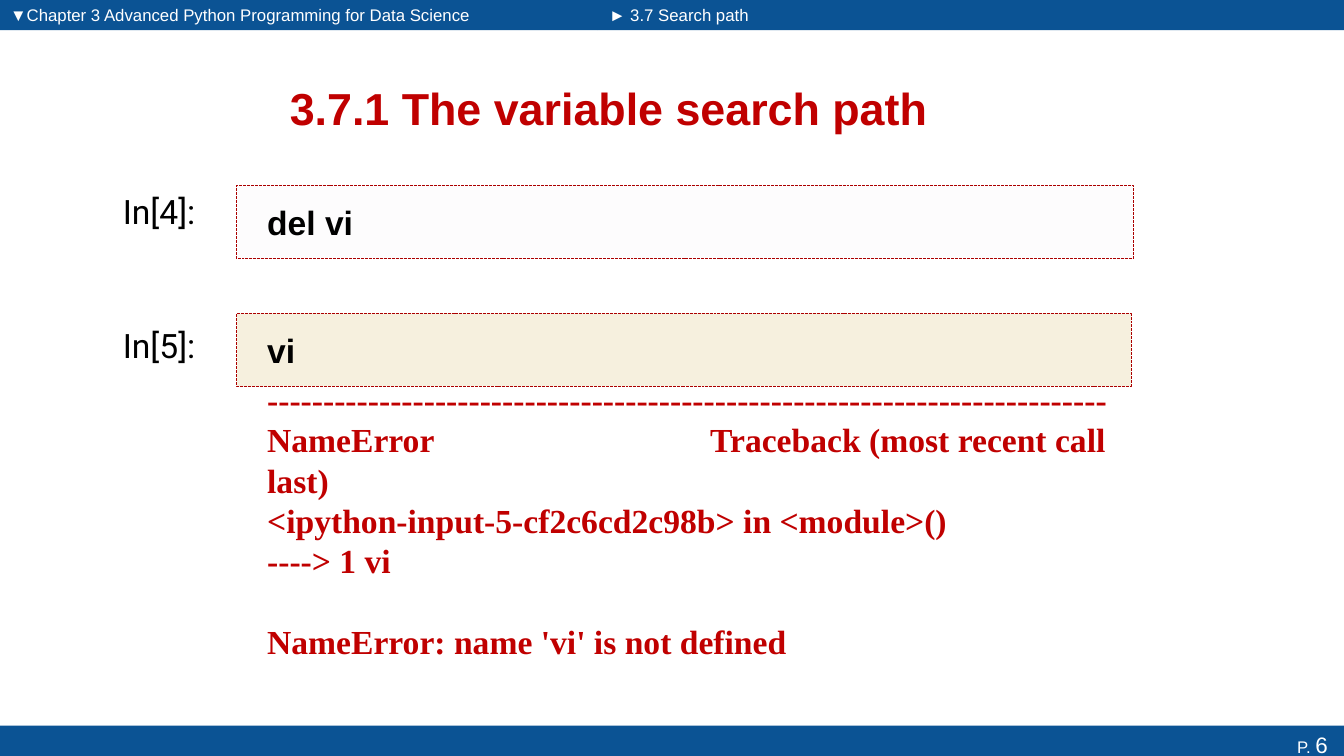
"""Build the slide on the variable search path."""
from lxml import etree
from pptx import Presentation
from pptx.dml.color import RGBColor
from pptx.enum.dml import MSO_LINE
from pptx.enum.shapes import MSO_SHAPE
from pptx.enum.text import MSO_ANCHOR, MSO_AUTO_SIZE, PP_ALIGN
from pptx.oxml.ns import qn
from pptx.util import Inches, Pt

RECTANGLE = MSO_SHAPE.RECTANGLE
DASH = MSO_LINE.SQUARE_DOT
TOP, MIDDLE = MSO_ANCHOR.TOP, MSO_ANCHOR.MIDDLE
LEFT, CENTER, RIGHT = PP_ALIGN.LEFT, PP_ALIGN.CENTER, PP_ALIGN.RIGHT
NO_FIT = MSO_AUTO_SIZE.NONE

BLUE = RGBColor(0x0B, 0x53, 0x94)
WHITE = RGBColor(0xFF, 0xFF, 0xFF)
BLACK = RGBColor(0x00, 0x00, 0x00)
RED = RGBColor(0xC0, 0x00, 0x00)
DARK_RED = RGBColor(0xAB, 0x00, 0x00)
LILAC = RGBColor(0xF1, 0xEE, 0xF4)
GOLD = RGBColor(0xBF, 0x90, 0x00)

CELL_LEFT = 2.35
CELL_OPACITY = 13
LINE_PITCH = 28.8
CELLS = [
    ("In[4]:", 1.84, "del vi", (1.84, 8.89, 0.73), LILAC),
    ("In[5]:", 3.17, "vi", (3.11, 8.87, 0.72), GOLD),
]
TRACEBACK = [
    "-" * 75,
    "NameError                                 Traceback (most recent call last)",
    "<ipython-input-5-cf2c6cd2c98b> in <module>()",
    "----> 1 vi",
    "NameError: name 'vi' is not defined",
]


def style(paragraph, name, size, color, bold=False, align=LEFT):
    paragraph.alignment = align
    font = paragraph.font
    font.name, font.size, font.bold = name, Pt(size), bold
    font.color.rgb = color


def set_frame(frame, anchor, left=0.1, right=0.1, bottom=0.05):
    frame.word_wrap = True
    frame.auto_size = NO_FIT
    frame.vertical_anchor = anchor
    frame.margin_left, frame.margin_right = Inches(left), Inches(right)
    frame.margin_top, frame.margin_bottom = Inches(0.05), Inches(bottom)


def add_rectangle(slide, box, color):
    rectangle = slide.shapes.add_shape(RECTANGLE, *map(Inches, box))
    rectangle.shadow.inherit = False
    rectangle.fill.solid()
    rectangle.fill.fore_color.rgb = color
    rectangle.line.fill.background()
    return rectangle


def place_placeholder(placeholder, box, text, anchor):
    """Move a placeholder in front of the bars and fill it."""
    placeholder.left, placeholder.top, placeholder.width, placeholder.height = map(Inches, box)
    tree = placeholder._element.getparent()
    tree.append(placeholder._element)
    set_frame(placeholder.text_frame, anchor)
    placeholder.text_frame.text = text
    return placeholder.text_frame.paragraphs[0]


def add_breadcrumb(placeholder, box, text):
    crumb = place_placeholder(placeholder, box, text, TOP)
    properties = crumb._p.get_or_add_pPr()
    properties.set("marL", str(Inches(0.38)))
    properties.set("indent", str(-Inches(0.38)))
    etree.SubElement(properties, qn("a:buNone"))
    crumb.space_before = Pt(0)
    style(crumb, "Arial", 12, WHITE)


def add_footer(slide):
    footer = add_rectangle(slide, (0, 7.2, 13.33, 0.37), BLUE)
    set_frame(footer.text_frame, MIDDLE, right=0.16)
    page = footer.text_frame.paragraphs[0]
    style(page, "Arial", 12, WHITE, align=RIGHT)
    page.add_run().text = "P. "
    number = page.add_run()
    number.text = "6"
    number.font.size = Pt(16)


def add_code_cell(slide, prompt, prompt_top, code, place, color):
    label = slide.shapes.add_textbox(
        Inches(1.12), Inches(prompt_top), Inches(1.13), Inches(0.5))
    set_frame(label.text_frame, TOP)
    label.text_frame.text = prompt
    style(label.text_frame.paragraphs[0], "Roboto", 24, BLACK)

    cell = add_rectangle(slide, (CELL_LEFT, *place), color)
    tint = cell._element.spPr.find(qn("a:solidFill"))[0]
    etree.SubElement(tint, qn("a:alpha"), val=str(CELL_OPACITY * 1000))
    cell.line.color.rgb = DARK_RED
    cell.line.width = Pt(0.7)
    cell.line.dash_style = DASH
    set_frame(cell.text_frame, MIDDLE, left=0.3)
    cell.text_frame.text = code
    style(cell.text_frame.paragraphs[0], "Arial", 24, BLACK, bold=True)


def add_traceback(slide):
    output = slide.shapes.add_textbox(
        Inches(CELL_LEFT), Inches(3.58), Inches(8.74), Inches(3.56))
    set_frame(output.text_frame, MIDDLE, left=0.3, bottom=0.45)
    output.text_frame.text = "\n".join(TRACEBACK)
    for line in output.text_frame.paragraphs:
        line.line_spacing = Pt(LINE_PITCH)
        style(line, "Times New Roman", 24, RED, bold=True)
    output.text_frame.paragraphs[-1].space_before = Pt(LINE_PITCH)


def main():
    deck = Presentation()
    deck.slide_width, deck.slide_height = Inches(13.33), Inches(7.5)
    slide = deck.slides.add_slide(deck.slide_layouts[3])
    title, chapter, section = slide.placeholders

    add_rectangle(slide, (0, 0, 5.93, 0.3), BLUE)
    add_footer(slide)
    add_rectangle(slide, (5.93, 0, 7.4, 0.3), BLUE)
    add_breadcrumb(chapter, (0, 0, 4.83, 0.29),
                   "▼Chapter 3 Advanced Python Programming for Data Science")
    add_breadcrumb(section, (5.94, 0, 2.78, 0.29), "► 3.7 Search path")
    heading = place_placeholder(
        title, (0.68, 0.62, 10.72, 0.9), "3.7.1 The variable search path", MIDDLE)
    style(heading, "Arial", 32, RED, bold=True, align=CENTER)

    for cell in CELLS:
        add_code_cell(slide, *cell)
    add_traceback(slide)
    deck.save("out.pptx")


if __name__ == "__main__":
    main()
